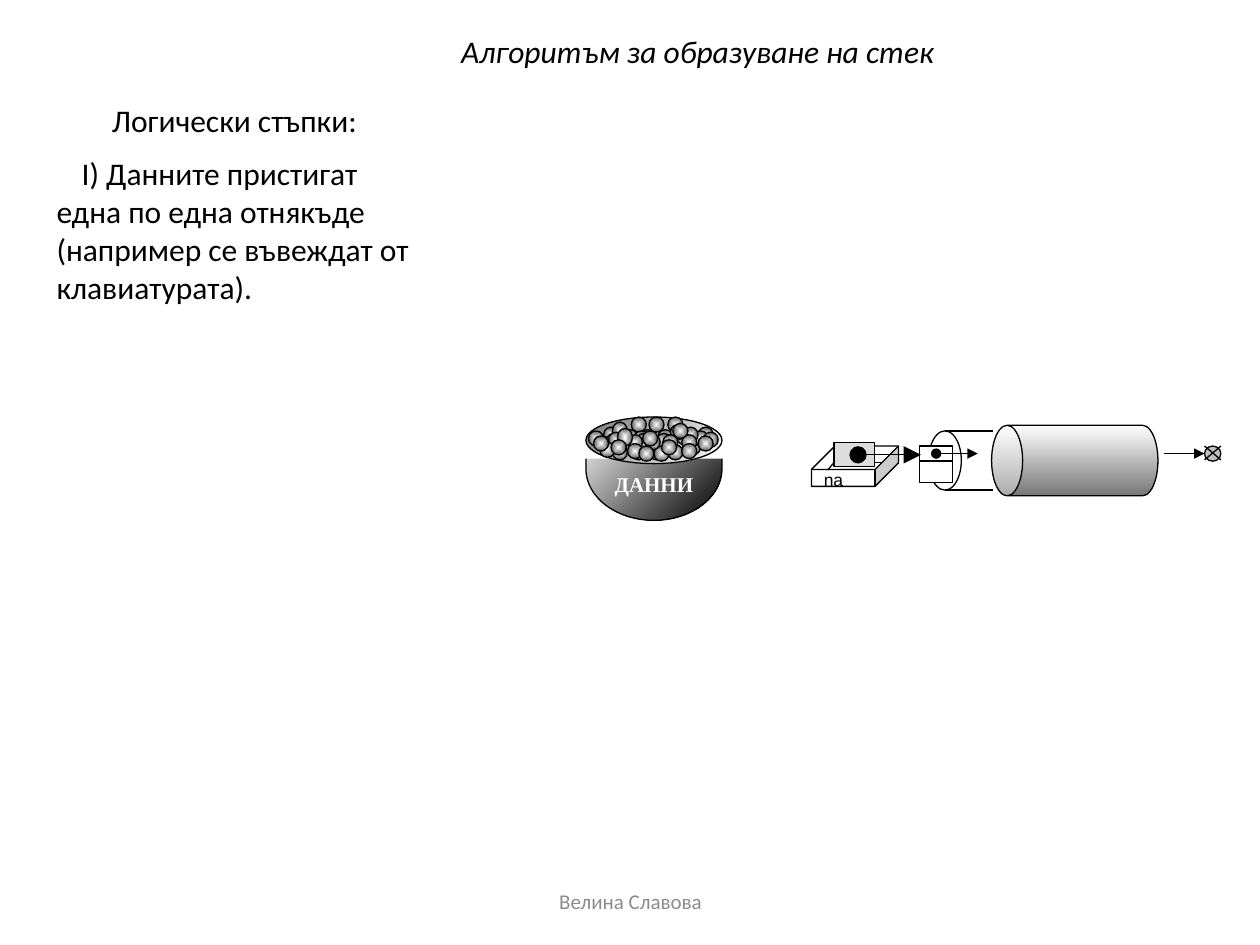
import pptx
import pptx.util
import pptx.dml.color
import pptx.enum.shapes
import pptx.enum.text
import pptx.oxml
import pptx.oxml.ns

SHAPE = pptx.enum.shapes.MSO_SHAPE
ANCHOR = pptx.enum.text.MSO_ANCHOR
ALIGN = pptx.enum.text.PP_ALIGN
COLORS = {"ink": "000000", "paper": "FFFFFF", "silver": "C0C0C0", "card": "DDDDDD",
          "shade": "767676", "ball": "595959", "footer": "8C8C8C"}
BALLS = [
    (51.5, 33.1), (50.1, 33.1), (53, 35.3), (48.6, 35.3), (51.5, 35.3), (50.1, 35.3),
    (55.4, 33.9), (53.7, 34.1), (52.2, 34.1), (49.4, 34.1), (50.8, 34.1), (47.9, 33.9),
    (47.2, 34.6), (54.4, 34.9), (53, 33.1), (55, 34.2), (53.2, 33.7), (52.1, 34.4),
    (48.6, 33.5, 1.4), (50.3, 34.2), (48.1, 34.4), (46.7, 34.2), (54.2, 33.9), (51.9, 35.4),
    (50.5, 34.4), (55.8, 34.3), (54.1, 34.5), (52.6, 34.5), (49.8, 34.5), (51.2, 34.5),
    (48.3, 34.3), (47.6, 35.1), (54.1, 35.2), (53.4, 33.6), (55.4, 34.6), (51, 34.2),
    (52.5, 34.9), (49, 34, 1.4), (49.8, 35.2), (48.5, 34.9), (47.1, 34.6), (50.7, 35.4),
]


class Sketch:
    """Draws styled elements on a slide measured as 100 columns by 75 rows."""

    def __init__(self, prs, columns=100, rows=75):
        self.slide = prs.slides.add_slide(prs.slide_layouts[5])
        self.col, self.row = prs.slide_width / columns, prs.slide_height / rows
        self.weight = pptx.util.Pt(0.75)

    def box(self, x, y, w, h):
        return int(x * self.col), int(y * self.row), int(w * self.col), int(h * self.row)

    def rgb(self, name):
        return pptx.dml.color.RGBColor.from_string(COLORS[name])

    def xml(self, tag, inner="", attrs=""):
        ns = pptx.oxml.ns.nsdecls("a")
        return pptx.oxml.parse_xml(f"<a:{tag} {ns} {attrs}>{inner}</a:{tag}>")

    def gradient(self, sp, start, end, angle):
        stops = "".join(f'<a:gs pos="{pos}"><a:srgbClr val="{COLORS[name]}"/></a:gs>'
                        for pos, name in ((0, start), (100000, end)))
        if angle is None:
            way = ('<a:path path="shape"><a:fillToRect l="50000" t="50000" '
                   'r="50000" b="50000"/></a:path>')
        else:
            way = f'<a:lin ang="{angle * 60000}" scaled="0"/>'
        fill = self.xml("gradFill", f"<a:gsLst>{stops}</a:gsLst>{way}", 'rotWithShape="0"')
        sp.fill.background()
        props = sp._element.spPr
        props.replace(props.find(pptx.oxml.ns.qn("a:noFill")), fill)

    def style(self, sp, fill, outlined=True):
        sp.shadow.inherit = False
        if isinstance(fill, tuple):
            self.gradient(sp, *fill)
        else:
            sp.fill.solid()
            sp.fill.fore_color.rgb = self.rgb(fill)
        if outlined:
            sp.line.color.rgb = self.rgb("ink")
            sp.line.width = self.weight
        else:
            sp.line.fill.background()

    def shape(self, kind, place, fill="paper", outlined=True, rotation=0, adj=None):
        sp = self.slide.shapes.add_shape(kind, *self.box(*place))
        self.style(sp, fill, outlined)
        sp.rotation = rotation
        if adj is not None:
            sp.adjustments[0] = adj

    def line(self, x1, y1, x2, y2, head=None, tail=None, size="med"):
        ends = self.box(x1, y1, x2, y2)
        cxn = self.slide.shapes.add_connector(pptx.enum.shapes.MSO_CONNECTOR.STRAIGHT, *ends)
        cxn.line.color.rgb = self.rgb("ink")
        cxn.line.width = self.weight
        ln = cxn._element.spPr.find(pptx.oxml.ns.qn("a:ln"))
        for tag, kind in (("headEnd", head), ("tailEnd", tail)):
            if kind:
                ln.append(self.xml(tag, attrs=f'type="{kind}" w="{size}" len="{size}"'))
        cxn._element.spPr.append(self.xml("effectLst"))

    def fill_text(self, sp, text, size=18, font="Calibri", color="ink", bold=False,
                  italic=False, anchor=ANCHOR.TOP, align=ALIGN.LEFT, wrap=True, indent=0):
        tf = sp.text_frame
        tf.word_wrap = wrap
        tf.auto_size = pptx.enum.text.MSO_AUTO_SIZE.NONE
        tf.vertical_anchor = anchor
        p = tf.paragraphs[0]
        p.alignment = align
        if indent:
            p._p.get_or_add_pPr().set("indent", str(int(indent * self.col)))
        r = p.add_run()
        r.text = text
        r.font.size = pptx.util.Pt(size)
        r.font.name = font
        r.font.bold, r.font.italic = bold, italic
        r.font.color.rgb = self.rgb(color)

    def text(self, place, text, **look):
        self.fill_text(self.slide.shapes.add_textbox(*self.box(*place)), text, **look)

    def title(self, place, text, **look):
        sp = self.slide.shapes.title
        sp.left, sp.top, sp.width, sp.height = self.box(*place)
        self.fill_text(sp, text, **look)


def draw_texts(art):
    art.title((35.6, 2.2, 41.9, 3.7), "Алгоритъм за образуване на стек",
              italic=True, anchor=ANCHOR.MIDDLE, wrap=False)
    art.text((3.5, 12.4, 31.2, 11.7),
             "I) Данните пристигат една по една отнякъде (например се въвеждат от клавиатурата).",
             anchor=ANCHOR.MIDDLE, indent=2)
    art.text((7.9, 7.5, 22.6, 3.7), "Логически стъпки:", wrap=False)
    art.text((34.2, 69.5, 31.7, 4), "Велина Славова", size=12, color="footer",
             anchor=ANCHOR.MIDDLE, align=ALIGN.CENTER)


def draw_stack(art):
    art.shape(SHAPE.OVAL, (73.7, 34.2, 2.6, 4.7))
    art.shape(SHAPE.RECTANGLE, (73, 36.5, 2.6, 1.8))
    art.shape(SHAPE.RECTANGLE, (73, 35.4, 2.6, 1.2))
    art.line(74.3, 36, 77.6, 36, "oval", "triangle")
    art.line(92.4, 36, 95.6, 36, tail="triangle")
    art.shape(SHAPE.OVAL, (95.6, 35.4, 1.3, 1.2), "silver")
    art.line(95.6, 35.4, 96.9, 36.5)
    art.line(95.6, 36.5, 96.9, 35.4)
    for y in (34.2, 38.9):
        art.line(75, y, 78.8, y)
    art.shape(SHAPE.CAN, (82.5, 29.95, 5.6, 13.2), ("paper", "shade", 90),
              rotation=270, adj=0.44)


def draw_bowl(art):
    art.shape(SHAPE.FLOWCHART_DELAY, (47.8, 31.8, 8.2, 10.8), ("paper", "ink", 45), rotation=90)
    art.shape(SHAPE.RECTANGLE, (45.2, 29.7, 13.7, 6.7), outlined=False)
    art.shape(SHAPE.OVAL, (46.5, 33.1, 10.8, 3.7), ("shade", "paper", 45))
    for x, y, *height in BALLS:
        art.shape(SHAPE.OVAL, (x, y, 1.2, *(height or [1.2])), ("paper", "ball", None))
    art.text((47.8, 36.9, 9.3, 4.4), "ДАННИ", size=12, font="Times New Roman",
             color="paper", bold=True)


def draw_variable(art):
    art.shape(SHAPE.CUBE, (64.4, 35.4, 6.9, 3.2), adj=0.58)
    art.line(66.2, 35.4, 66.2, 36.7)
    art.line(70, 36.7, 66.2, 36.7)
    art.line(66.2, 36.7, 65.7, 37.3)
    art.shape(SHAPE.RECTANGLE, (66.2, 35.1, 3.2, 1.9), "card")
    art.line(68.1, 36.1, 73.1, 36.1, "oval", "triangle", "lg")
    art.text((64.4, 36.7, 5, 2.8), "na", size=10, font="Arial")


def main():
    prs = pptx.Presentation()
    prs.slide_width, prs.slide_height = pptx.util.Inches(10), pptx.util.Inches(7.5)
    art = Sketch(prs)
    for draw in (draw_texts, draw_stack, draw_bowl, draw_variable):
        draw(art)
    prs.save("out.pptx")


if __name__ == "__main__":
    main()
